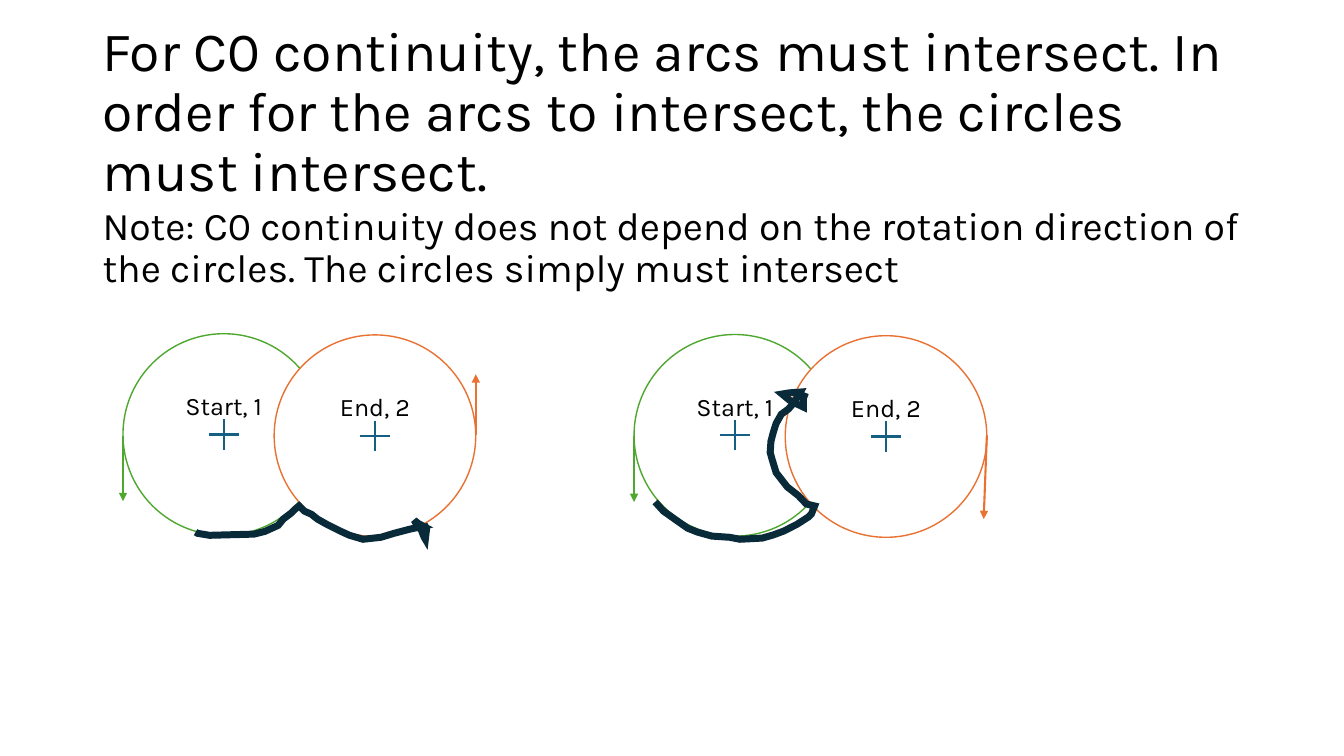
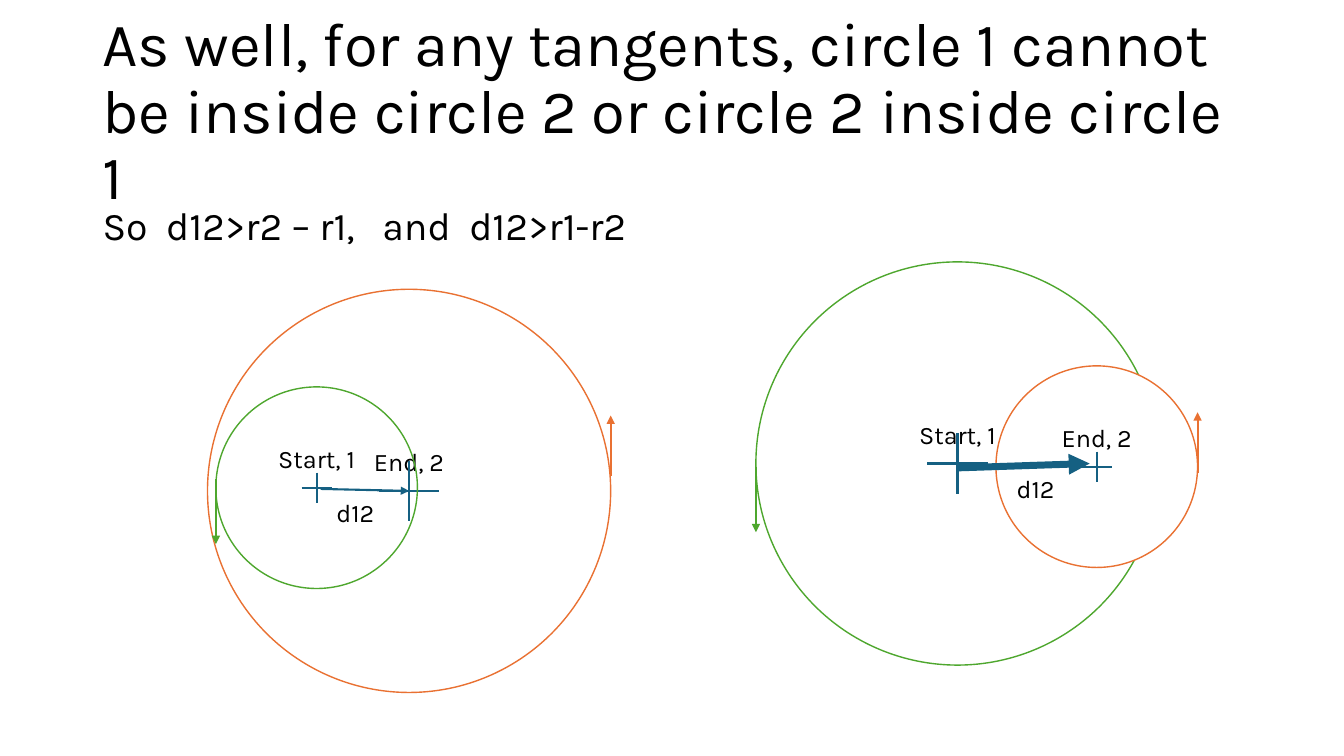
from dataclasses import dataclass

from lxml import etree
from pptx import Presentation
from pptx import util as u
from pptx.dml.color import RGBColor
from pptx.enum import shapes, text
from pptx.oxml import ns


@dataclass(frozen=True)
class Theme:
    font: str = "Karla"
    ink: str = "000000"
    paper: str = "FFFFFF"
    start: str = "4EA72E"
    end: str = "E97132"
    accent: str = "156082"
    stroke: str = "092A39"
    title_size: float = 44
    long_title_size: float = 39.6
    body_size: float = 28
    label_size: float = 18
    outline: float = 1
    thin: float = 1.5
    thick: float = 5


THEME = Theme()
SLIDE_SIZE = (33.87, 19.05)
TITLE_BOX = (2.33, 1.01, 29.21, 3.69)
BODY_BOX = (2.33, 5.08, 29.21, 12.09)
SMALL, LARGE = 5.08, 10.16  # circle diameters, cm
LABEL_LIFT = 1.48  # extra bottom inset that raises a label above its cross
GAP = 6.6  # points added to a space that separates two formulas


@dataclass
class Circle:
    """A circle placed in its figure, with its rotation arrow."""
    label: str
    colour: str
    left: float
    top: float
    diameter: float
    arrow_side: int  # 0 left edge, 1 right edge
    arrow_shift: float  # arrow start below the centre
    arrow_run: tuple
    filled: bool = True


def start_circle(left, top, diameter, arrow_shift, filled=True):
    return Circle("Start, 1", THEME.start, left, top, diameter, 0,
                  arrow_shift, (0, 1.65), filled)


def end_circle(left, top, diameter, arrow_shift, arrow_run=(0, -1.52)):
    return Circle("End, 2", THEME.end, left, top, diameter, 1,
                  arrow_shift, arrow_run)


def add_run(paragraph, words, size, spacing=0):
    run = paragraph.add_run()
    run.text = words
    run.font.name = THEME.font
    run.font.size = u.Pt(size)
    run.font.color.rgb = RGBColor.from_string(THEME.ink)
    if spacing:
        run._r.get_or_add_rPr().set("spc", str(round(spacing * 100)))


def style_line(line, colour, width):
    line.color.rgb = RGBColor.from_string(colour)
    line.width = u.Pt(width)


def add_line(slide, begin, end, colour, width=THEME.thin, arrow=False):
    connector = slide.shapes.add_connector(
        shapes.MSO_CONNECTOR.STRAIGHT, *map(u.Cm, (*begin, *end)))
    style_line(connector.line, colour, width)
    properties = connector.line._get_or_add_ln()
    if arrow:
        etree.SubElement(properties, ns.qn("a:tailEnd"), type="triangle")
    etree.SubElement(properties.getparent(), ns.qn("a:effectLst"))


def add_circle(slide, left, top, circle):
    left, top = left + circle.left, top + circle.top
    diameter = circle.diameter
    shape = slide.shapes.add_shape(
        shapes.MSO_SHAPE.OVAL, *map(u.Cm, (left, top, diameter, diameter)))
    shape.shadow.inherit = False
    style_line(shape.line, circle.colour, THEME.outline)
    if circle.filled:
        shape.fill.solid()
        shape.fill.fore_color.rgb = RGBColor.from_string(THEME.paper)
    else:
        shape.fill.background()

    # Label
    frame = shape.text_frame
    frame.vertical_anchor = text.MSO_ANCHOR.MIDDLE
    frame.margin_top = 0
    frame.margin_bottom = u.Cm(LABEL_LIFT)
    frame.paragraphs[0].alignment = text.PP_ALIGN.CENTER
    add_run(frame.paragraphs[0], circle.label, THEME.label_size)

    # Centre cross
    x, y, arm = left + diameter / 2, top + diameter / 2, diameter * 0.075
    add_line(slide, (x, y - arm), (x, y + arm), THEME.accent)
    add_line(slide, (x - arm, y), (x + arm, y), THEME.accent)

    # Rotation arrow
    x, y = left + circle.arrow_side * diameter, y + circle.arrow_shift
    dx, dy = circle.arrow_run
    add_line(slide, (x, y), (x + dx, y + dy), circle.colour, arrow=True)


def add_circles(slide, left, top, circles):
    for circle in circles:
        add_circle(slide, left, top, circle)


def add_stroke(slide, left, top, points):
    """Hand-drawn route along the arcs, in cm from the figure's corner."""
    first, *rest = [(u.Cm(left + x), u.Cm(top + y)) for x, y in points]
    builder = slide.shapes.build_freeform(*first)
    builder.add_line_segments(rest, close=False)
    shape = builder.convert_to_shape()
    shape.shadow.inherit = False
    shape.fill.background()
    style_line(shape.line, THEME.stroke, THEME.thick)
    etree.SubElement(shape.line._get_or_add_ln(), ns.qn("a:miter"), lim="800000")


def add_intersecting_figure(slide, left, top, end_run, points):
    add_circles(slide, left, top, [
        start_circle(0, 0, SMALL, 0.03),
        end_circle(3.81, 0.03, SMALL, -0.03, end_run)])
    add_stroke(slide, left, top, points)


def add_nested_figure(slide, left, top, circles, begin, end, width, label_at):
    add_circles(slide, left, top, circles)

    # Distance between the centres
    add_line(slide, (left + begin[0], top + begin[1]),
             (left + end[0], top + end[1]), THEME.accent, width, arrow=True)
    box = slide.shapes.add_textbox(
        u.Cm(left + label_at[0]), u.Cm(top + label_at[1]), u.Cm(1.55), u.Cm(1.02))
    box.text_frame.word_wrap = False
    add_run(box.text_frame.paragraphs[0], "d12", THEME.label_size)


def fill_placeholder(placeholder, box, parts, size, anchor, space_before):
    """Each part is a run: its words and its letter spacing in points."""
    placeholder.left, placeholder.top, placeholder.width, placeholder.height = map(u.Cm, box)
    frame = placeholder.text_frame
    frame.auto_size = text.MSO_AUTO_SIZE.NONE
    frame.word_wrap = True
    frame.vertical_anchor = anchor
    paragraph = frame.paragraphs[0]
    paragraph.alignment = text.PP_ALIGN.LEFT
    paragraph.line_spacing = 0.9
    paragraph.space_before = u.Pt(space_before)
    for words, spacing in parts:
        add_run(paragraph, words, size, spacing)
    return paragraph


def add_content_slide(presentation, title, body_parts, title_size=THEME.title_size):
    slide = presentation.slides.add_slide(presentation.slide_layouts[1])
    fill_placeholder(slide.shapes.title, TITLE_BOX, [(title, 0)], title_size,
                     text.MSO_ANCHOR.MIDDLE, 0)
    paragraph = fill_placeholder(slide.placeholders[1], BODY_BOX, body_parts,
                                 THEME.body_size, text.MSO_ANCHOR.TOP, 10)

    # Plain paragraph without bullet
    properties = paragraph._p.get_or_add_pPr()
    properties.set("marL", "0")
    properties.set("indent", "0")
    etree.SubElement(properties, ns.qn("a:buNone"))
    return slide


# Routes along the arcs
ROUTE_BELOW = [
    (1.83, 5), (1.88, 5.03), (2.18, 5.08), (3.3, 5.05), (3.58, 4.98),
    (3.91, 4.83), (4.04, 4.67), (4.24, 4.52), (4.34, 4.42), (4.44, 4.34),
    (4.57, 4.47), (4.75, 4.55), (4.9, 4.67), (5.13, 4.8), (5.49, 4.98),
    (5.71, 5.08), (6.05, 5.18), (6.5, 5.13), (6.83, 5.03), (7.21, 4.93),
    (7.57, 4.85), (7.44, 4.78), (7.34, 4.7), (7.42, 4.85), (7.52, 4.95),
    (7.59, 5.13), (7.62, 5.18), (7.65, 4.93), (7.59, 4.8)]
ROUTE_BACK = [
    (0.53, 4.22), (0.74, 4.45), (1.12, 4.72), (1.35, 4.88), (1.6, 4.98),
    (1.96, 5.08), (2.41, 5.11), (2.67, 5.16), (3.23, 5.13), (3.51, 5.05),
    (3.78, 4.95), (4.11, 4.78), (4.39, 4.6), (4.47, 4.52), (4.55, 4.32),
    (4.34, 4.27), (4.14, 4.06), (3.86, 3.84), (3.58, 3.48), (3.48, 3.15),
    (3.43, 2.97), (3.45, 2.69), (3.51, 2.46), (3.58, 2.24), (3.71, 2.01),
    (3.89, 1.88), (4.06, 1.68), (4.19, 1.45), (3.91, 1.47), (3.73, 1.5),
    (3.91, 1.65), (4.06, 1.73), (4.27, 1.83), (4.27, 1.6), (4.32, 1.47)]


def build_continuity_slide(presentation):
    slide = add_content_slide(
        presentation,
        "For C0 continuity, the arcs must intersect. In order for the arcs "
        "to intersect, the circles must intersect.",
        [("Note: C0 continuity does not depend on the rotation direction of "
          "the circles. The circles simply must intersect", 0)],
        title_size=THEME.long_title_size)
    add_intersecting_figure(slide, 3.1, 8.41, (0, -1.52), ROUTE_BELOW)
    add_intersecting_figure(slide, 15.98, 8.43, (-0.08, 2.11), ROUTE_BACK)


def build_tangent_slide(presentation):
    slide = add_content_slide(
        presentation,
        "As well, for any tangents, circle 1 cannot be inside circle 2 "
        "or circle 2 inside circle 1",
        [("So", 0), (" ", GAP), ("d12>r2 – r1,", 0), (" ", 2 * GAP),
         ("and", 0), (" ", GAP), ("d12>r1-r2", 0)])
    add_nested_figure(
        slide, 5.23, 7.29,
        [end_circle(0, 0, LARGE, -0.38),
         start_circle(0.21, 2.46, SMALL, -0.23, filled=False)],
        begin=(2.85, 5.03), end=(5.08, 5.08), width=THEME.thin, label_at=(3, 5.11))
    add_nested_figure(
        slide, 19.05, 6.6,
        [start_circle(0, 0, LARGE, 0.08), end_circle(6.05, 2.62, SMALL, 0.15)],
        begin=(5.08, 5.19), end=(8.41, 5.08), width=THEME.thick, label_at=(6.32, 5.19))


def main():
    presentation = Presentation()
    presentation.slide_width, presentation.slide_height = map(u.Cm, SLIDE_SIZE)
    build_continuity_slide(presentation)
    build_tangent_slide(presentation)
    presentation.save("out.pptx")


if __name__ == "__main__":
    main()
